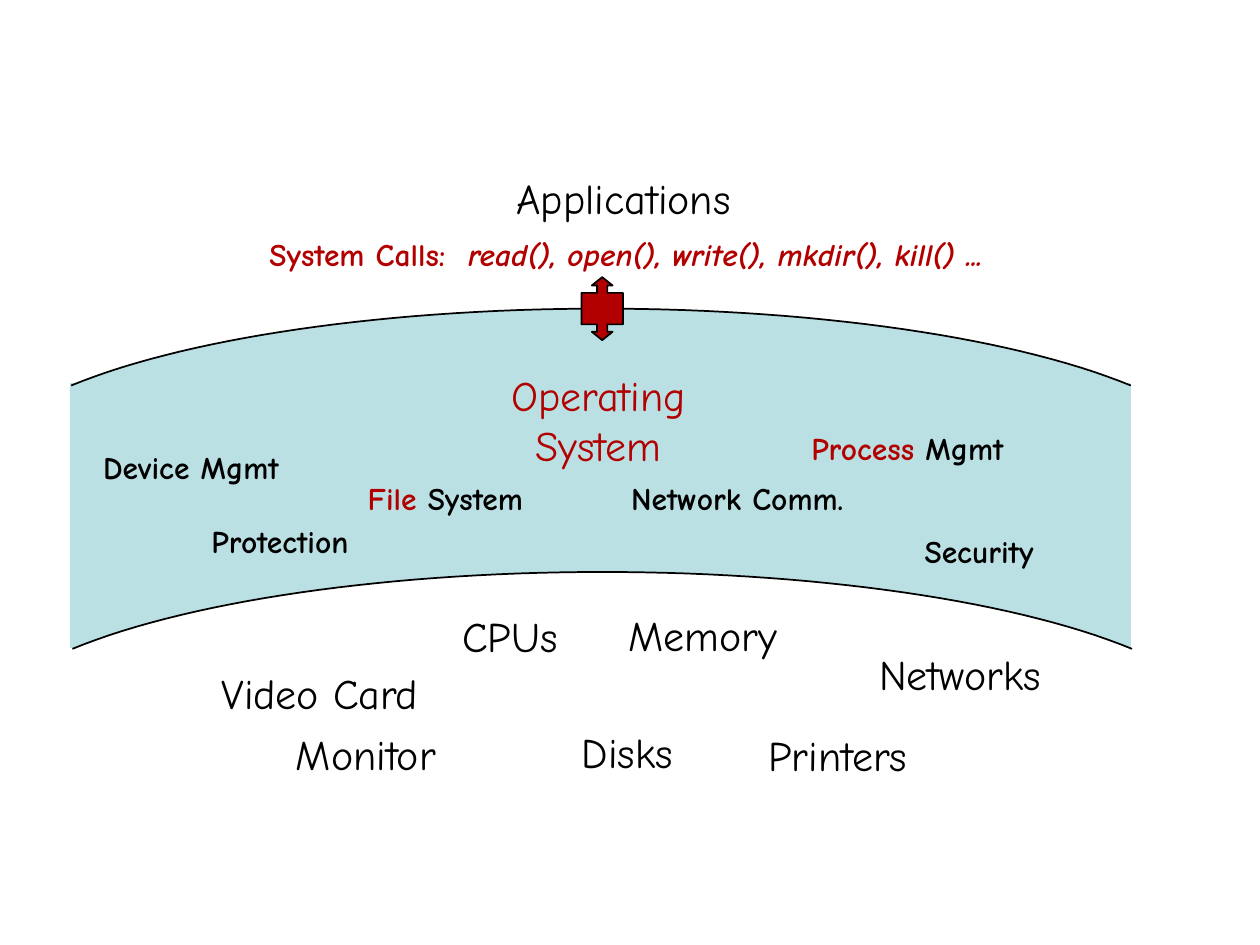
from dataclasses import dataclass
from math import cos, pi, sin

from pptx import Presentation
from pptx.dml.color import RGBColor
from pptx.enum.shapes import MSO_SHAPE
from pptx.enum.text import MSO_AUTO_SIZE, PP_ALIGN
from pptx.util import Inches, Pt


@dataclass(frozen=True)
class Theme:
    """Colours, font, type sizes and line width of the slide."""

    black: RGBColor = RGBColor(0x00, 0x00, 0x00)
    white: RGBColor = RGBColor(0xFF, 0xFF, 0xFF)
    red: RGBColor = RGBColor(0xB2, 0x00, 0x00)
    band: RGBColor = RGBColor(0xBB, 0xE0, 0xE3)
    font: str = "Comic Neue"
    large: int = 24
    small: int = 18
    line: int = 1


THEME = Theme()
COLUMNS, ROWS = 100, 75
CELL = Inches(10) // COLUMNS

LARGE_LABELS = [
    ("Applications", 40, 13.2, 19.2),
    ("CPUs", 35.7, 48, 9.8),
    ("Memory", 48.9, 47.9, 14),
    ("Networks", 68.8, 51, 15.1),
    ("Video Card", 16.6, 52.5, 17.9),
    ("Monitor", 22.5, 57.3, 13.4),
    ("Disks", 45.2, 57.2, 9.5),
    ("Printers", 60, 57.4, 13.3),
]

SERVICES = [
    ("", "Device Mgmt", 7.2, 35.1, 17.1),
    ("", "Protection", 15.8, 40.9, 16),
    ("File", " System", 28.2, 37.5, 17.1),
    ("", "Network Comm.", 49.1, 37.5, 20.1),
    ("Process", " Mgmt", 63.4, 33.6, 18.1),
    ("", "Security", 72.4, 41.7, 16),
]


def grid(*cells):
    """Turn counts of grid cells into slide lengths."""
    return [round(count * CELL) for count in cells]


def paint(shape, fill, line):
    """Give a shape a flat fill and a thin outline."""
    shape.shadow.inherit = False
    shape.fill.solid()
    shape.fill.fore_color.rgb = fill
    shape.line.color.rgb = line
    shape.line.width = Pt(THEME.line)


def add_preset(slide, kind, box, fill, line):
    """Add a painted preset shape."""
    shape = slide.shapes.add_shape(kind, *grid(*box))
    paint(shape, fill, line)
    return shape


def add_arch(slide, center, top, fill):
    """Add the filled cap of a wide ellipse, outlined along its curve only."""
    radius_x, radius_y, steps = 50, 13.3, 60
    start, sweep = 0.182 * pi, 0.636 * pi
    angles = [start + sweep * step / steps for step in range(steps + 1)]
    points = [
        grid(center - radius_x * cos(angle), top + radius_y * (1 - sin(angle)))
        for angle in angles
    ]
    builder = slide.shapes.build_freeform(*points[0])
    builder.add_line_segments(points[1:], close=False)
    paint(builder.convert_to_shape(), fill, THEME.black)


def add_label(slide, runs, box, size, bold=False, wrap=False):
    """Add a text box from (text, colour, italic) runs and return its paragraph."""
    frame = slide.shapes.add_textbox(*grid(*box)).text_frame
    frame.word_wrap = wrap
    frame.auto_size = MSO_AUTO_SIZE.SHAPE_TO_FIT_TEXT
    paragraph = frame.paragraphs[0]
    for text, color, italic in runs:
        run = paragraph.add_run()
        run.text = text
        run.font.name = THEME.font
        run.font.size = Pt(size)
        run.font.bold = bold
        run.font.italic = italic
        run.font.color.rgb = color
    return paragraph


def add_band(slide):
    """Draw the curved operating system layer."""
    add_preset(slide, MSO_SHAPE.RECTANGLE, (5.6, 30.5, 84.1, 20.9), THEME.band, THEME.band)
    add_arch(slide, 47.7, 24.5, THEME.band)
    add_arch(slide, 47.8, 45.4, THEME.white)


def add_gate(slide):
    """Draw the two-way system call gate on the upper curve."""
    gate = add_preset(
        slide, MSO_SHAPE.UP_DOWN_ARROW_CALLOUT, (46.15, 22, 3.3, 5), THEME.red, THEME.black
    )
    for index, share in enumerate((0.25, 0.25, 0.2, 0.5)):
        gate.adjustments[index] = share


def add_labels(slide):
    """Write every label on and around the band."""
    title = add_label(
        slide, [("Operating System", THEME.red, False)], (38.1, 28.8, 18.8, 9),
        THEME.large, wrap=True,
    )
    title.alignment = PP_ALIGN.CENTER
    for text, left, top, width in LARGE_LABELS:
        add_label(slide, [(text, THEME.black, False)], (left, top, width, 5), THEME.large)
    calls = [
        ("System Calls:  ", THEME.red, False),
        ("read(), open(), write(), mkdir(), kill() ...", THEME.red, True),
    ]
    add_label(slide, calls, (20.4, 18.2, 58.9, 4), THEME.small, bold=True)
    for accent, text, left, top, width in SERVICES:
        runs = [(accent, THEME.red, False)] if accent else []
        runs.append((text, THEME.black, False))
        add_label(slide, runs, (left, top, width, 4), THEME.small, bold=True, wrap=True)


def main():
    """Build and save the slide."""
    presentation = Presentation()
    presentation.slide_width, presentation.slide_height = grid(COLUMNS, ROWS)
    slide = presentation.slides.add_slide(presentation.slide_layouts[6])
    add_band(slide)
    add_gate(slide)
    add_labels(slide)
    presentation.save("out.pptx")


if __name__ == "__main__":
    main()
